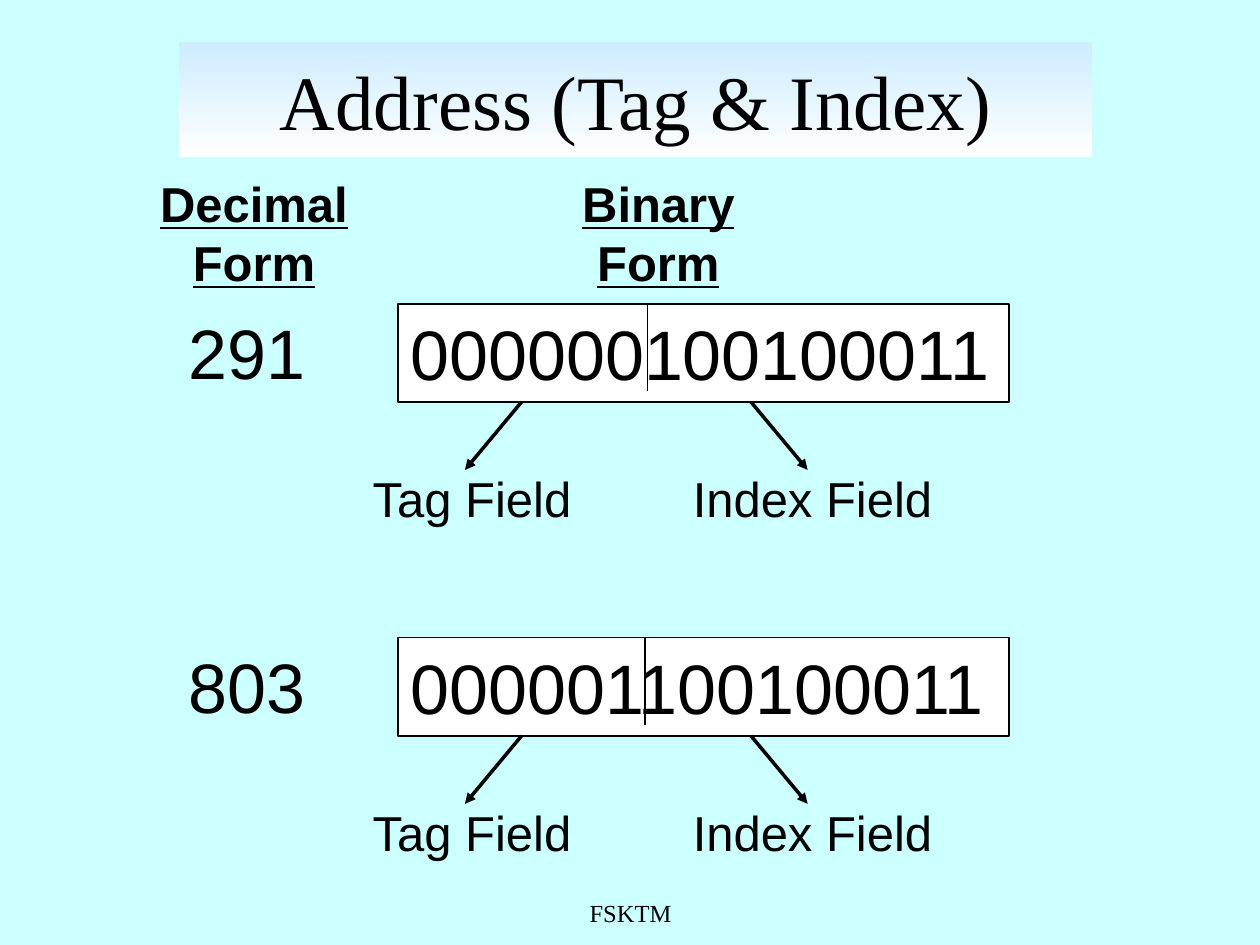
from lxml import etree
from pptx import Presentation
from pptx.dml.color import RGBColor
from pptx.enum.shapes import MSO_CONNECTOR as CONN, MSO_SHAPE as SHAPE
from pptx.enum.text import MSO_ANCHOR as ANCHOR, PP_ALIGN as ALIGN
from pptx.oxml.ns import qn
from pptx.util import Inches, Pt

COLORS = {k: RGBColor.from_string(v) for k, v in {
    "background": "CCFFFF", "title_top": "CCECFF", "white": "FFFFFF", "black": "000000",
}.items()}

prs = Presentation()
prs.slide_width, prs.slide_height = Inches(10), Inches(7.5)
s = prs.slides.add_slide(prs.slide_layouts[6])
s.background.fill.solid()
s.background.fill.fore_color.rgb = COLORS["background"]


def add_text(text, box, size, font="Arial", align=ALIGN.LEFT, rect=False, wrap=False, bold=False):
    """Add a text box, or a rectangle with text; bold headings are underlined too."""
    box = [Inches(v) for v in box]
    sp = s.shapes.add_shape(SHAPE.RECTANGLE, *box) if rect else s.shapes.add_textbox(*box)
    if rect:
        sp.shadow.inherit = False
    tf = sp.text_frame
    tf.word_wrap = wrap
    tf.vertical_anchor = ANCHOR.MIDDLE if rect else ANCHOR.TOP
    tf.text = text
    for p in tf.paragraphs:
        p.alignment = align
        p.font.name, p.font.size, p.font.color.rgb = font, Pt(size), COLORS["black"]
        if bold:
            p.font.bold = p.font.underline = True
    return sp


def add_line(x1, y1, x2, y2, width, arrow=False):
    line = s.shapes.add_connector(CONN.STRAIGHT, *[Inches(v) for v in (x1, y1, x2, y2)])
    line.line.color.rgb, line.line.width = COLORS["black"], Pt(width)
    if arrow:
        etree.SubElement(line.line._get_or_add_ln(), qn("a:tailEnd"), type="triangle")
    etree.SubElement(line._element.spPr, qn("a:effectLst"))


# Title and footer
title = add_text("Address (Tag & Index)", (1.42, 0.33, 7.25, 0.92), 44,
                 "Times New Roman", ALIGN.CENTER, rect=True, wrap=True)
title.line.fill.background()
title.fill.gradient()
title.fill.gradient_angle = 270
for stop, name in zip(title.fill.gradient_stops, ("title_top", "white")):
    stop.color.rgb = COLORS[name]
add_text("FSKTM", (3.42, 7.08, 3.17, 0.25), 14, "Times New Roman", ALIGN.CENTER, wrap=True)

# Column headings
for heading, left, width in (("Decimal\nForm", 1.17, 1.69), ("Binary\nForm", 4.52, 1.41)):
    add_text(heading, (left, 1.33, width, 1.03), 28, align=ALIGN.CENTER, bold=True)

# One row per address: decimal value, binary value split into tag and index
FIRST_ROW, ROW_PITCH, BOX_HEIGHT = 2.41, 2.65, 0.78
ROWS = (("291", "000000100100011", 5.14), ("803", "000001100100011", 5.12))
FIELDS = (("Tag Field", 2.86, 1.82, 4.14, 3.69), ("Index Field", 5.4, 2.1, 5.96, 6.41))
for row, (decimal, binary, split) in enumerate(ROWS):
    top = FIRST_ROW + row * ROW_PITCH
    bottom = top + BOX_HEIGHT
    add_text(decimal, (1.4, top, 1.2, 0.76), 40)
    address = add_text(binary, (3.16, top, 4.85, BOX_HEIGHT), 40, rect=True)
    address.fill.solid()
    address.fill.fore_color.rgb = COLORS["white"]
    address.line.color.rgb, address.line.width = COLORS["black"], Pt(1)
    add_line(split, top, split, top + 0.69, 1)
    for label, left, width, start, end in FIELDS:
        add_line(start, bottom, end, bottom + 0.54, 2, arrow=True)
        add_text(label, (left, bottom + 0.48, width, 0.56), 28)

prs.save("out.pptx")
